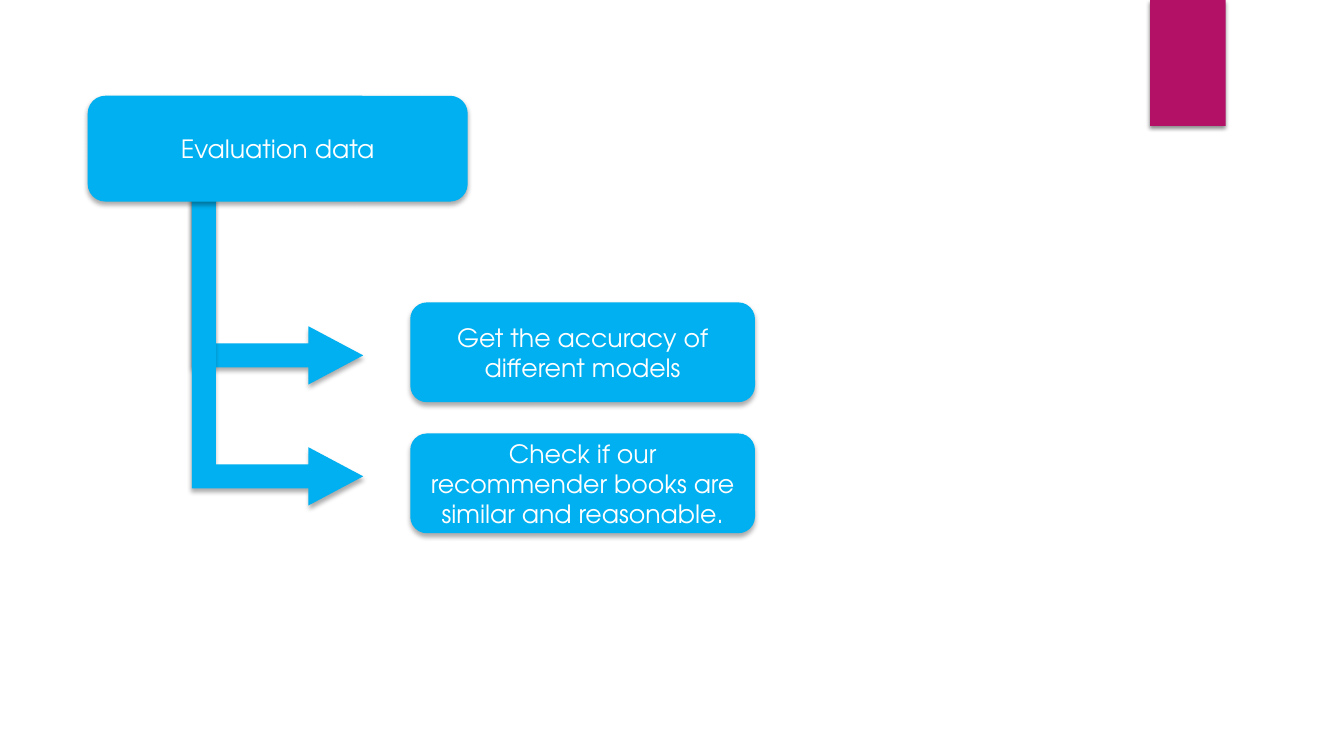
from dataclasses import dataclass

from lxml import etree
from pptx import Presentation
from pptx.dml.color import RGBColor
from pptx.enum.shapes import MSO_SHAPE
from pptx.enum.text import MSO_ANCHOR, PP_ALIGN
from pptx.oxml.ns import qn
from pptx.shapes.autoshape import Shape
from pptx.slide import Slide
from pptx.util import Inches, Pt

RECTANGLE = MSO_SHAPE.RECTANGLE
ROUNDED = MSO_SHAPE.ROUNDED_RECTANGLE
BENT_ARROW = MSO_SHAPE.BENT_UP_ARROW
MIDDLE = MSO_ANCHOR.MIDDLE
CENTER = PP_ALIGN.CENTER

# Grid: 40 columns by 30 rows
SLIDE_WIDTH, SLIDE_HEIGHT = Inches(13.33), Inches(7.5)
COLUMN, ROW = SLIDE_WIDTH / 40, SLIDE_HEIGHT / 30


@dataclass(frozen=True)
class Shadow:
    opacity: int
    blur: float
    distance: float


@dataclass(frozen=True)
class Theme:
    font: str = "TeX Gyre Adventor"
    text_size: Pt = Pt(18)
    text_color: RGBColor = RGBColor(0xFF, 0xFF, 0xFF)
    flow: RGBColor = RGBColor(0x00, 0xB0, 0xF0)
    accent: RGBColor = RGBColor(0xB3, 0x11, 0x66)
    shadow_color: str = "000000"
    flow_shadow: Shadow = Shadow(32, 3.5, 2.2)
    accent_shadow: Shadow = Shadow(45, 3, 2)


@dataclass(frozen=True)
class Area:
    """Place on the slide in grid columns and rows."""
    column: float
    row: float
    columns: float
    rows: float


@dataclass(frozen=True)
class Box:
    text: str
    area: Area


THEME = Theme()
ARROW_ADJUSTMENTS = (0.14, 0.17, 0.32)

# Content
ACCENT_TAB = Area(34.23, 0, 2.25, 5)
ARROWS = [Area(5.71, 7.14, 5.1, rows) for rows in (8.12, 12.92)]
STEPS = ("Get the accuracy of different models",
         "Check if our recommender books are similar and reasonable.")
BOXES = [Box(text, Area(12.21, 12 + 5.2 * index, 10.26, 3.96))
         for index, text in enumerate(STEPS)]
BOXES.append(Box("Evaluation data", Area(2.61, 3.8, 11.31, 4.2)))


def add_shadow(shape: Shape, shadow: Shadow) -> None:
    shape.shadow.inherit = False
    effects = shape._element.spPr.find(qn("a:effectLst"))
    outer = etree.SubElement(effects, qn("a:outerShdw"), {
        "blurRad": str(Pt(shadow.blur)), "dist": str(Pt(shadow.distance)),
        "dir": str(90 * 60000), "rotWithShape": "0"})
    color = etree.SubElement(outer, qn("a:srgbClr"), val=THEME.shadow_color)
    etree.SubElement(color, qn("a:alpha"), val=str(shadow.opacity * 1000))


def add_filled(slide: Slide, kind: MSO_SHAPE, area: Area,
               color: RGBColor, shadow: Shadow) -> Shape:
    shape = slide.shapes.add_shape(
        kind, round(area.column * COLUMN), round(area.row * ROW),
        round(area.columns * COLUMN), round(area.rows * ROW))
    shape.fill.solid()
    shape.fill.fore_color.rgb = color
    shape.line.fill.background()
    add_shadow(shape, shadow)
    return shape


def add_arrow(slide: Slide, area: Area) -> None:
    """Draw a down-then-right arrow that covers the area after a quarter turn."""
    shape = add_filled(slide, BENT_ARROW, area, THEME.flow, THEME.flow_shadow)
    for index, value in enumerate(ARROW_ADJUSTMENTS):
        shape.adjustments[index] = value
    shift = (shape.height - shape.width) // 2
    turned = {"left": shape.left - shift, "top": shape.top + shift,
              "width": shape.height, "height": shape.width, "rotation": 90}
    for name, value in turned.items():
        setattr(shape, name, value)


def add_box(slide: Slide, box: Box) -> None:
    shape = add_filled(slide, ROUNDED, box.area, THEME.flow, THEME.flow_shadow)
    frame = shape.text_frame
    frame.word_wrap = True
    frame.vertical_anchor = MIDDLE
    paragraph = frame.paragraphs[0]
    paragraph.alignment = CENTER
    run = paragraph.add_run()
    run.text = box.text
    font_format = {"name": THEME.font, "size": THEME.text_size}
    for name, value in font_format.items():
        setattr(run.font, name, value)
    run.font.color.rgb = THEME.text_color


def main() -> None:
    presentation = Presentation()
    presentation.slide_width = SLIDE_WIDTH
    presentation.slide_height = SLIDE_HEIGHT
    slide = presentation.slides.add_slide(presentation.slide_layouts[6])

    # Corner tab
    add_filled(slide, RECTANGLE, ACCENT_TAB, THEME.accent, THEME.accent_shadow)

    # Flow: arrows behind the boxes
    for arrow in ARROWS:
        add_arrow(slide, arrow)
    for box in BOXES:
        add_box(slide, box)

    presentation.save("out.pptx")


if __name__ == "__main__":
    main()
